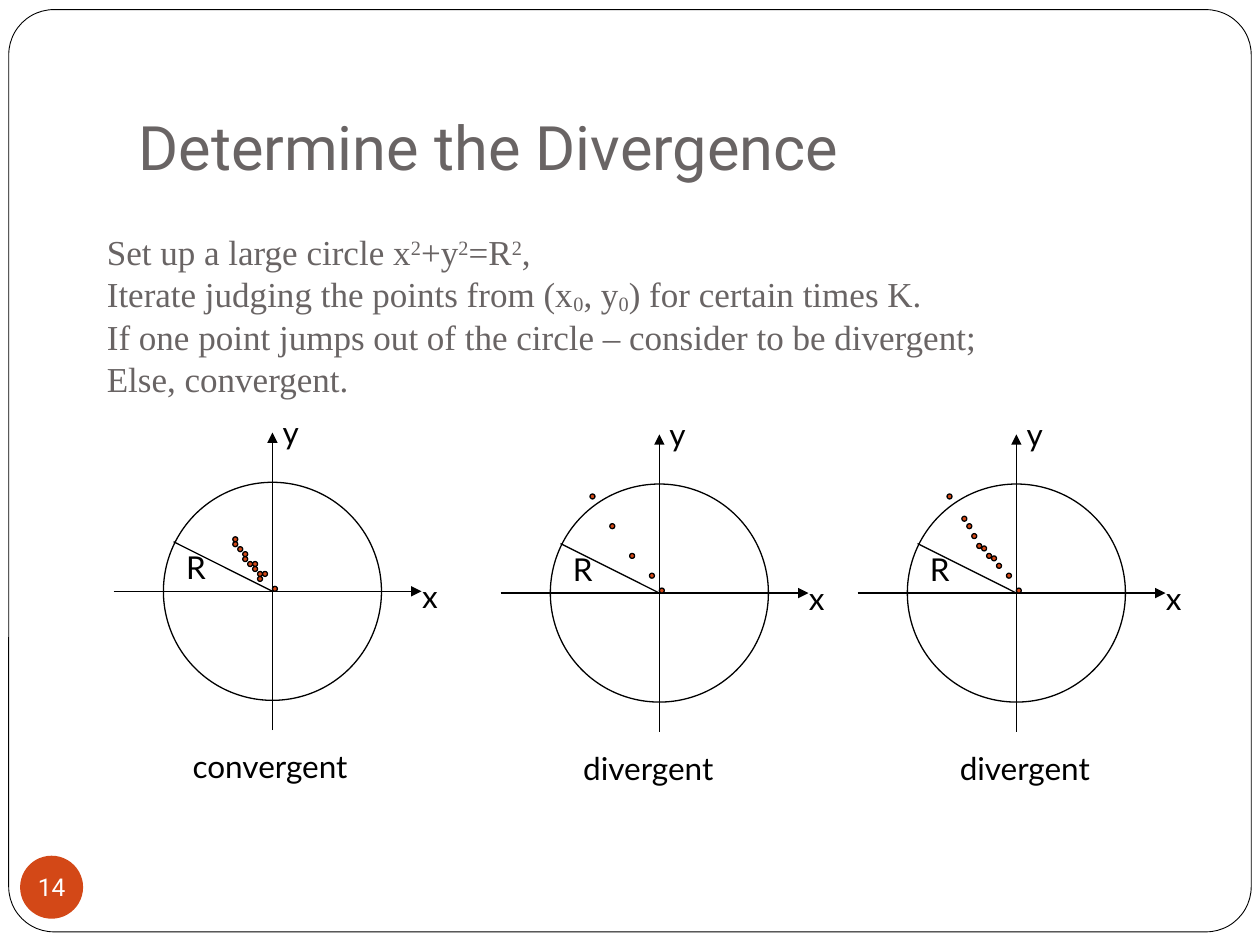
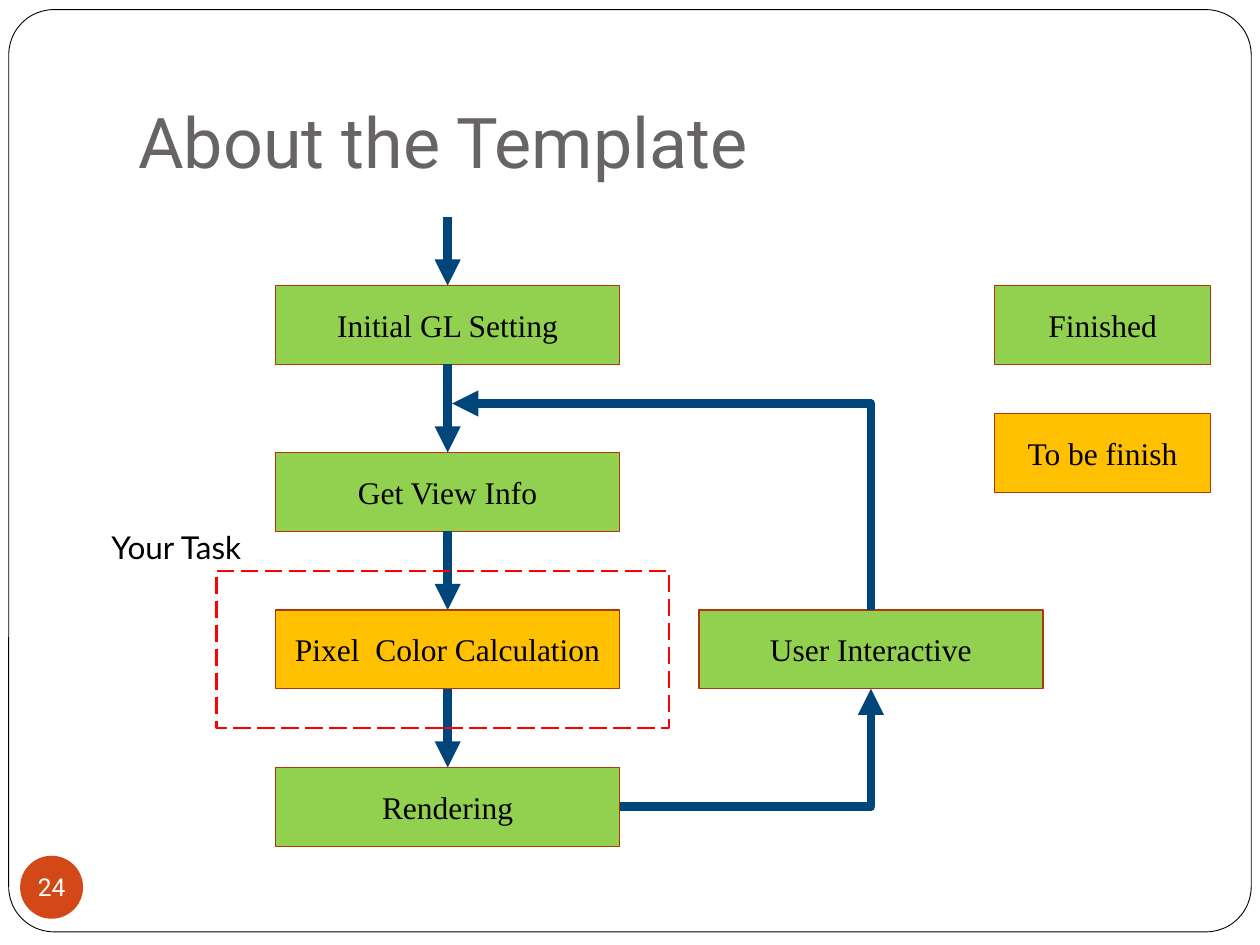
from dataclasses import dataclass

from pptx import Presentation
from pptx.dml.color import RGBColor
from pptx.enum.dml import MSO_LINE
from pptx.enum.shapes import MSO_CONNECTOR, MSO_SHAPE
from pptx.enum.text import MSO_ANCHOR, PP_ALIGN
from pptx.oxml.ns import qn
from pptx.util import Pt

RECT, ROUND, OVAL = MSO_SHAPE.RECTANGLE, MSO_SHAPE.ROUNDED_RECTANGLE, MSO_SHAPE.OVAL
LINE, ELBOW = MSO_CONNECTOR.STRAIGHT, MSO_CONNECTOR.ELBOW
LEFT, CENTER = PP_ALIGN.LEFT, PP_ALIGN.CENTER
TOP, MIDDLE, BOTTOM = MSO_ANCHOR.TOP, MSO_ANCHOR.MIDDLE, MSO_ANCHOR.BOTTOM
DASH = MSO_LINE.LONG_DASH


@dataclass(frozen=True)
class Theme:
    ink: str = "000000"
    paper: str = "FFFFFF"
    gray: str = "696464"
    accent: str = "D34817"
    edge: str = "B1360B"
    arrow: str = "00467A"
    done: str = "92D050"
    todo: str = "FFC000"
    alert: str = "FF0000"
    head: str = "Roboto"
    label: str = "Lato"
    serif: str = "Times New Roman"
    body: float = 20
    small: float = 18
    page: float = 14
    thin: float = 0.75
    thick: float = 5


T = Theme()
INSET = (7.2, 3.6, 7.2, 3.6)
STEP = 2.83  # dot diameter, also the grid on which dots are placed

FAR = [(0, -1), (-2, -4), (-6, -8), (-10, -14), (-14, -20)]
SLOW = FAR + [(-11, -15.5), (-9, -12), (-4, -6), (-8, -10), (-7, -9.5), (-5, -7.5)]
NEAR = [(0, -1), (-2, -4), (-7, -9), (-8, -11), (-6, -8), (-3, -3), (-5, -6),
        (-6, -7), (-8, -10), (-3, -4), (-4, -6), (-4, -5)]

# Centre x, centre y, dots, caption, caption left and width
PLOTS = [
    (376.8, 338.9, FAR, "divergent", 326.2, 89.3),
    (580.8, 338.9, SLOW, "divergent", 541.4, 89.3),
    (155.7, 337.9, NEAR, "convergent", 103, 103),
]

RULES = [
    [("Set up a large circle x", 0), ("2", 30), ("+y", 0), ("2", 30),
     ("=R", 0), ("2", 30), (",", 0)],
    [("Iterate judging the points from (x", 0), ("0", -10), (", y", 0),
     ("0", -10), (") for certain times K.", 0)],
    "If one point jumps out of the circle – consider to be divergent;",
    "Else, convergent.",
]


def rgb(code):
    return RGBColor.from_string(code)


def write(frame, lines, size=T.small, font=T.label, color=T.ink, align=LEFT,
          anchor=TOP, inset=INSET, wrap=True, pitch=None):
    """Fill a text frame; a line is a string or a list of (text, baseline)."""
    frame.word_wrap = wrap
    frame.vertical_anchor = anchor
    (frame.margin_left, frame.margin_top,
     frame.margin_right, frame.margin_bottom) = map(Pt, inset)
    for i, line in enumerate(lines):
        para = frame.add_paragraph() if i else frame.paragraphs[0]
        para.alignment = align
        if pitch:
            para.line_spacing = Pt(pitch)
        for words, base in [(line, 0)] if isinstance(line, str) else line:
            run = para.add_run()
            run.text = words
            run.font.size, run.font.name = Pt(size), font
            run.font.color.rgb = rgb(color)
            if base:
                run.font._element.set("baseline", str(base * 1000))


def text(slide, box, lines, **style):
    write(slide.shapes.add_textbox(*map(Pt, box)).text_frame, lines, **style)


def shape(slide, kind, box, fill=None, line=T.ink, width=T.thin):
    item = slide.shapes.add_shape(kind, *map(Pt, box))
    item.shadow.inherit = False
    if fill:
        item.fill.solid()
        item.fill.fore_color.rgb = rgb(fill)
    else:
        item.fill.background()
    if line:
        item.line.color.rgb = rgb(line)
        item.line.width = Pt(width)
    else:
        item.line.fill.background()
    return item


def link(slide, start, end, color=T.ink, width=T.thin, head=True, kind=LINE):
    item = slide.shapes.add_connector(kind, *map(Pt, (*start, *end)))
    item.line.color.rgb = rgb(color)
    item.line.width = Pt(width)
    props = item._element.spPr
    stroke = props.find(qn("a:ln"))
    stroke.append(stroke.makeelement(qn("a:round"), {}))
    if head:
        stroke.append(stroke.makeelement(qn("a:tailEnd"), {"type": "triangle"}))
    props.append(props.makeelement(qn("a:effectLst"), {}))
    return item


def bend(slide, start, end, upright=False):
    """Draw an arrow with one corner; upright makes it go up, then left."""
    if upright:
        (x1, y1), (x2, y2) = start, end
        midx, midy = (x1 + x2) / 2, (y1 + y2) / 2
        dx, dy = abs(y1 - y2) / 2, abs(x1 - x2) / 2
        start, end = (midx - dx, midy + dy), (midx + dx, midy - dy)
    item = link(slide, start, end, T.arrow, T.thick, kind=ELBOW)
    props = item._element.spPr
    props.find(qn("a:prstGeom")).set("prst", "bentConnector2")
    if upright:
        props.find(qn("a:xfrm")).set("rot", str(270 * 60000))


def base(deck, title, size, page):
    """Add a slide with the frame, title and page badge."""
    slide = deck.slides.add_slide(deck.slide_layouts[6])
    frame = shape(slide, ROUND, (5, 5.5, 710, 527), T.paper, width=0.5)
    frame.adjustments[0] = 0.049
    text(slide, (72, 21.6, 612, 90), [title], size=size, font=T.head,
         color=T.gray, anchor=BOTTOM, inset=(7.2, 3.6, 7.2, 7.2))
    badge = shape(slide, OVAL, (11.5, 489, 36, 36), T.accent, None)
    write(badge.text_frame, [page], size=T.page, font=T.head, color=T.paper,
          align=CENTER, anchor=MIDDLE, inset=(0, 0, 0, 0), wrap=False)
    return slide


def plot(slide, cx, cy, dots, name, left, width):
    """Draw axes, circle, radius and dots around a centre."""
    def at(dx, dy):
        return cx + dx, cy + dy

    radius, tip = 62.3, at(-56.5, -28.3)
    link(slide, at(-90.7, 0), at(85.2, 0))
    link(slide, at(0, 79.3), at(0, -90.7))
    shape(slide, OVAL, (*at(-radius, -radius), 2 * radius, 2 * radius))
    link(slide, at(0, 0), tip, head=False)
    text(slide, (*tip, 26, 29), ["R"], wrap=False)
    for col, row in dots:
        shape(slide, OVAL, (*at(col * STEP, row * STEP), STEP, STEP), T.accent)
    for name_, spot in (("x", at(85.5, -11.7)), ("y", at(5.8, -105.5))):
        text(slide, (*spot, 11.5, 25), [name_], inset=(0, 3.6, 0, 0))
    text(slide, (left, cy + 85.3, width, 29), [name], wrap=False)


def block(slide, box, name, fill=T.done):
    item = shape(slide, RECT, box, fill, T.edge)
    write(item.text_frame, [name], font=T.serif, align=CENTER, anchor=MIDDLE)


def flow(slide, left, top):
    """Draw the flow chart; left and top are those of its first block."""
    wide, high = 196.6, 45
    mid, side = left + wide / 2, left + 241.9
    turn = side + wide / 2
    steps = [("Initial GL Setting", 0, T.done), ("Get View Info", 95.4, T.done),
             ("Pixel  Color Calculation", 185.4, T.todo), ("Rendering", 275.4, T.done)]
    tail = top - 39.4
    for name, drop, fill in steps:
        link(slide, (mid, tail), (mid, top + drop), T.arrow, T.thick)
        block(slide, (left, top + drop, wide, high), name, fill)
        tail = top + drop + high
    task, last = top + steps[2][1], top + steps[3][1]
    block(slide, (side, task, wide, high), "User Interactive")
    bend(slide, (left + wide, last + high / 2), (turn, task + high))
    bend(slide, (turn, task), (mid + 2.6, top + 67.4), upright=True)
    area = shape(slide, RECT, (left - 33.8, task - 22.5, 258.7, 90),
                 line=T.alert, width=1.25)
    area.line.dash_style = DASH
    text(slide, (left - 157.5, task - 50.7, 201.6, 29), ["Your Task"], align=CENTER)


def legend(slide, left, top):
    for i, (name, fill) in enumerate([("Finished", T.done), ("To be finish", T.todo)]):
        block(slide, (left, top + i * 73.1, 123.7, 45), name, fill)


def main():
    deck = Presentation()
    deck.slide_width, deck.slide_height = Pt(720), Pt(540)

    slide = base(deck, "Determine the Divergence", 35, "14")
    text(slide, (54, 128.2, 618, 103), RULES, size=T.body, font=T.serif,
         color=T.gray, pitch=24.2)
    for item in PLOTS:
        plot(slide, *item)

    slide = base(deck, "About the Template", 40, "24")
    flow(slide, 157.5, 163.2)
    legend(slide, 568.2, 163.2)

    deck.save("out.pptx")


if __name__ == "__main__":
    main()
